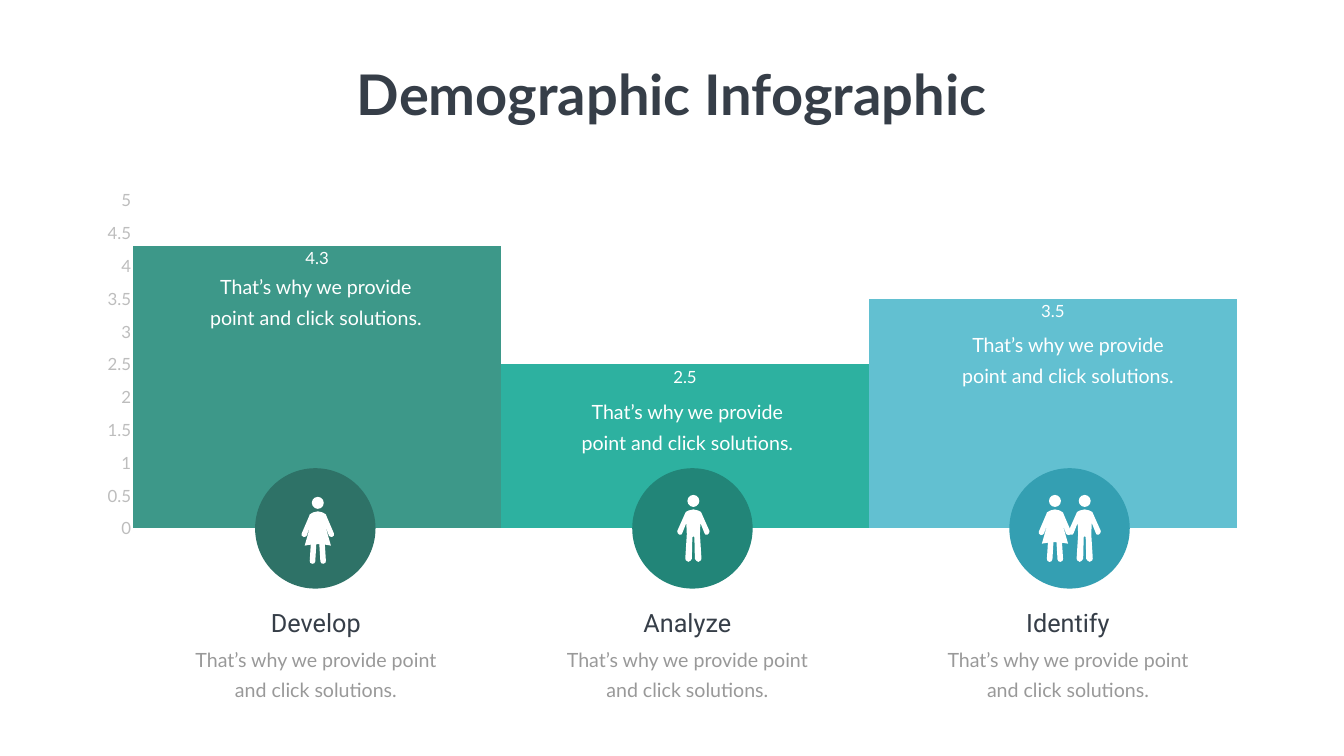
from dataclasses import dataclass

from pptx import Presentation
from pptx.chart.data import CategoryChartData
from pptx.dml.color import RGBColor
from pptx.enum.chart import XL_CHART_TYPE, XL_LABEL_POSITION, XL_TICK_MARK
from pptx.enum.shapes import MSO_SHAPE
from pptx.enum.text import MSO_ANCHOR, MSO_AUTO_SIZE, PP_ALIGN
from pptx.oxml import parse_xml
from pptx.oxml.ns import nsdecls, qn
from pptx.util import Inches, Pt


@dataclass(frozen=True)
class Theme:
    body_font: str = "Lato"
    heading_font: str = "Roboto"
    dark: str = "363E48"
    grey: str = "999999"
    axis: str = "BDBDBD"
    white: str = "FFFFFF"
    title_size: int = 80
    heading_size: int = 36
    body_size: int = 28
    chart_size: int = 24
    line_height: int = 43


@dataclass(frozen=True)
class Box:
    left: int
    top: int
    width: int
    height: int

    def inner(self, left, top, width, height):
        """Return an inner box given in percent of this one."""
        return Box(round(self.left + self.width * left / 100),
                   round(self.top + self.height * top / 100),
                   round(self.width * width / 100),
                   round(self.height * height / 100))

    @property
    def place(self):
        return self.left, self.top, self.width, self.height


@dataclass(frozen=True)
class Group:
    heading: str
    value: float
    bar: str
    badge: str
    left: float      # left edge of the column, percent of the slide
    note_top: float  # top of the text on the bar, percent of the slide
    figures: tuple   # (body outline, left, top), percent of the badge


# Right half of each body, from neck to legs, in hundredths of an inch
MAN = ((0, 0), (9, 2), (15, 5), (16.5, 7), (31.5, 43), (31, 47), (28, 50),
       (24, 49.5), (22, 47), (14.5, 27), (13, 49), (16, 97), (15, 101),
       (10, 103.5), (6, 102), (3, 98), (1.5, 55), (0, 53))
WOMAN = ((0, 0), (9, 2), (16, 6), (17, 9), (32, 44), (31.5, 48), (28, 51),
         (24, 50.5), (22, 48), (14, 26), (26, 68), (14, 66), (16, 98),
         (15, 102), (11, 104), (7, 103), (5, 99), (3, 65), (0, 65))

TITLE = "Demographic Infographic"
MESSAGE = "That’s why we provide point and click solutions."
GROUPS = (
    Group("Develop", 4.3, "3D9889", "2E7267", 14.03, 35.4, ((WOMAN, 38.5, 23.8),)),
    Group("Analyze", 2.5, "2DB1A0", "228578", 41.67, 51.93, ((MAN, 37.2, 22.2),)),
    Group("Identify", 3.5, "62C0D1", "349FB2", 69.99, 43.07,
          ((MAN, 49, 22.2), (WOMAN, 24.3, 22.2))),
)
THEME = Theme()


def style_font(font, name, size, color, bold=False):
    font.name, font.size, font.bold = name, Pt(size), bold
    font.color.rgb = RGBColor.from_string(color)


def write_text(shape, text, *, font, size, color, bold=False, spacing=None):
    frame = shape.text_frame
    frame.word_wrap = True
    frame.auto_size = MSO_AUTO_SIZE.NONE
    frame.vertical_anchor = MSO_ANCHOR.MIDDLE
    frame.margin_top = frame.margin_bottom = Inches(0.02)
    para = frame.paragraphs[0]
    para.alignment = PP_ALIGN.CENTER
    if spacing:
        para.line_spacing = Pt(spacing)
    span = para.add_run()
    span.text = text
    style_font(span.font, font, size, color, bold)


def add_message(shapes, box, color):
    write_text(shapes.add_textbox(*box.place), MESSAGE, font=THEME.body_font,
               size=THEME.body_size, color=color, spacing=THEME.line_height)


def paint(shape, color):
    shape.shadow.inherit = False
    shape.fill.solid()
    shape.fill.fore_color.rgb = RGBColor.from_string(color)
    shape.line.fill.background()


def add_title(slide, box):
    title = slide.shapes.title
    title.left, title.top, title.width, title.height = box.place
    write_text(title, TITLE, font=THEME.body_font, size=THEME.title_size,
               color=THEME.dark, bold=True)


def add_bars(slide, box):
    data = CategoryChartData()
    data.categories = [str(number) for number in range(1, len(GROUPS) + 1)]
    data.add_series("Series 1", [group.value for group in GROUPS])
    chart = slide.shapes.add_chart(
        XL_CHART_TYPE.COLUMN_CLUSTERED, *box.place, data).chart
    chart.has_legend = chart.has_title = False
    style_font(chart.font, THEME.body_font, THEME.chart_size, THEME.grey)

    # Axes
    chart.category_axis.visible = False
    axis = chart.value_axis
    axis.minimum_scale, axis.maximum_scale, axis.major_unit = 0, 5, 0.5
    axis.has_major_gridlines = False
    axis.major_tick_mark = axis.minor_tick_mark = XL_TICK_MARK.NONE
    axis.format.line.fill.background()
    axis.tick_labels.number_format = "General"
    axis.tick_labels.number_format_is_linked = False
    style_font(axis.tick_labels.font, THEME.body_font, THEME.chart_size, THEME.axis)

    # Touching bars, each in its own colour
    plot = chart.plots[0]
    plot.gap_width, plot.overlap, plot.vary_by_categories = 0, -24, False
    for index, group in enumerate(GROUPS):
        fill = plot.series[0].points[index].format.fill
        fill.solid()
        fill.fore_color.rgb = RGBColor.from_string(group.bar)
    plot.has_data_labels = True
    labels = plot.data_labels
    labels.show_value = True
    labels.position = XL_LABEL_POSITION.INSIDE_END
    style_font(labels.font, THEME.body_font, THEME.chart_size, THEME.white)

    # Fixed plot area, as shares of the chart
    area = chart.element.find(f"{qn('c:chart')}/{qn('c:plotArea')}")
    for old in area.findall(qn("c:layout")):
        area.remove(old)
    sizes = {"x": 0.042, "y": 0.049, "w": 0.938, "h": 0.903}
    area.insert(0, parse_xml(
        f'<c:layout {nsdecls("c")}><c:manualLayout><c:layoutTarget val="inner"/>'
        '<c:xMode val="edge"/><c:yMode val="edge"/>'
        + "".join(f'<c:{key} val="{share}"/>' for key, share in sizes.items())
        + "</c:manualLayout></c:layout>"))


def add_figure(shapes, box, outline):
    head = shapes.add_shape(MSO_SHAPE.OVAL, *box.inner(31.75, 0, 36.5, 18).place)
    mirrored = [(-x, y) for x, y in reversed(outline)]
    builder = shapes.build_freeform(*outline[0], scale=Inches(0.01))
    builder.add_line_segments([*outline[1:], *mirrored], close=True)
    neck = box.inner(50, 21.7, 0, 0)
    body = builder.convert_to_shape(neck.left, neck.top)
    for shape in (head, body):
        paint(shape, THEME.white)


def add_badge(slide, box, group):
    shapes = slide.shapes.add_group_shape().shapes
    paint(shapes.add_shape(MSO_SHAPE.OVAL, *box.place), group.badge)
    for outline, left, top in group.figures:
        add_figure(shapes, box.inner(left, top, 27.2, 55.5), outline)


def add_caption(slide, box, heading):
    shapes = slide.shapes.add_group_shape().shapes
    add_message(shapes, box.inner(0, 36.4, 100, 63.6), THEME.grey)
    write_text(shapes.add_textbox(*box.inner(0, 0, 100, 36.4).place), heading,
               font=THEME.heading_font, size=THEME.heading_size, color=THEME.dark)


def main():
    deck = Presentation()
    deck.slide_width, deck.slide_height = Inches(26.66), Inches(15)
    slide = deck.slides.add_slide(deck.slide_layouts[5])
    page = Box(0, 0, deck.slide_width, deck.slide_height)

    add_title(slide, page.inner(25.73, 7.47, 48.5, 9.67))
    add_bars(slide, page.inner(6.23, 24.13, 87.55, 48.07))
    for index, group in enumerate(GROUPS):
        note = page.inner(group.left + 0.75, group.note_top, 17.44, 8.27)
        add_message(slide.shapes, note, THEME.white)
        badge = page.inner(18.98 + index * 28.06, 61.93, 8.96, 15.93)
        add_badge(slide, badge, group)
        add_caption(slide, page.inner(group.left, 80, 18.94, 13), group.heading)
    deck.save("out.pptx")


if __name__ == "__main__":
    main()
